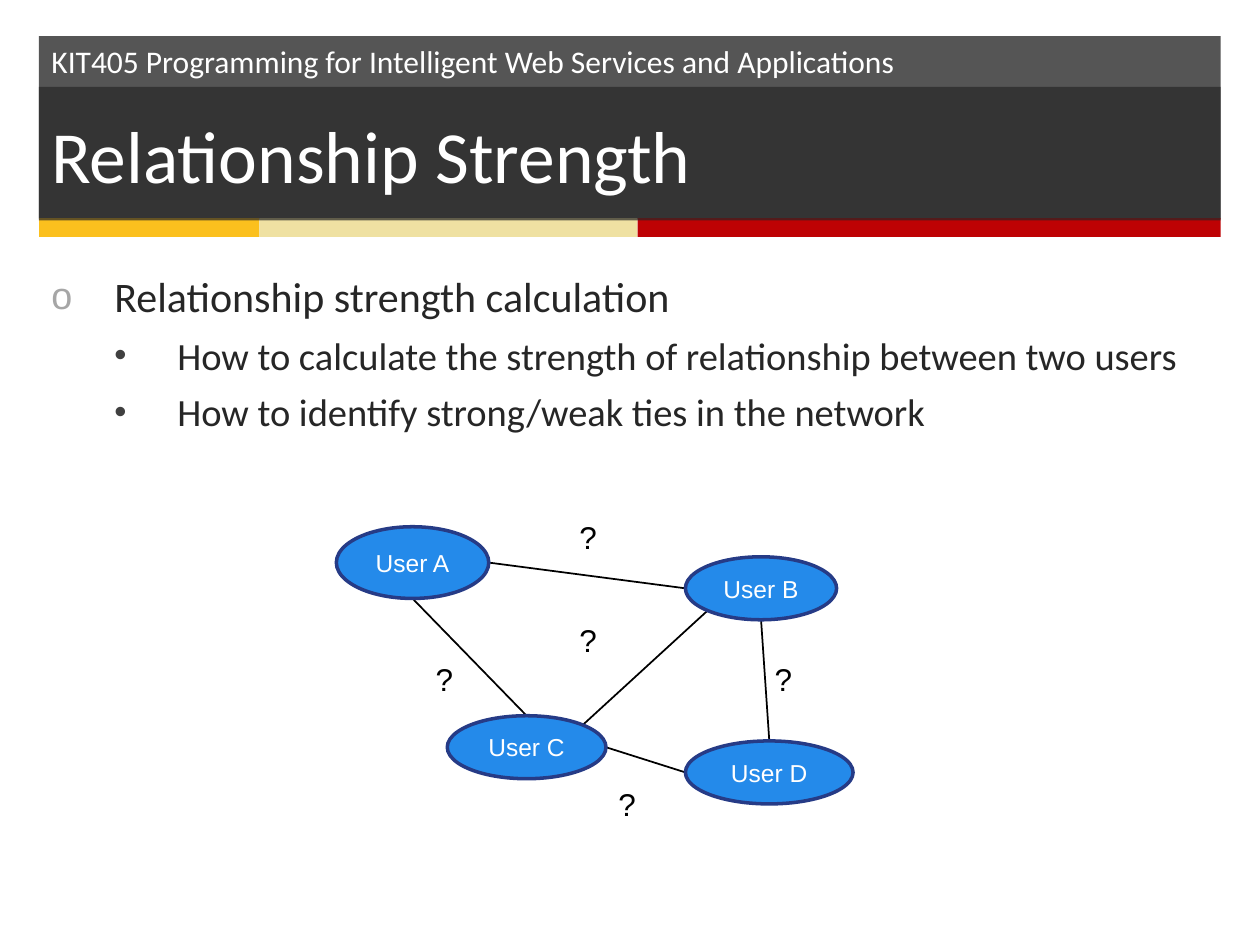
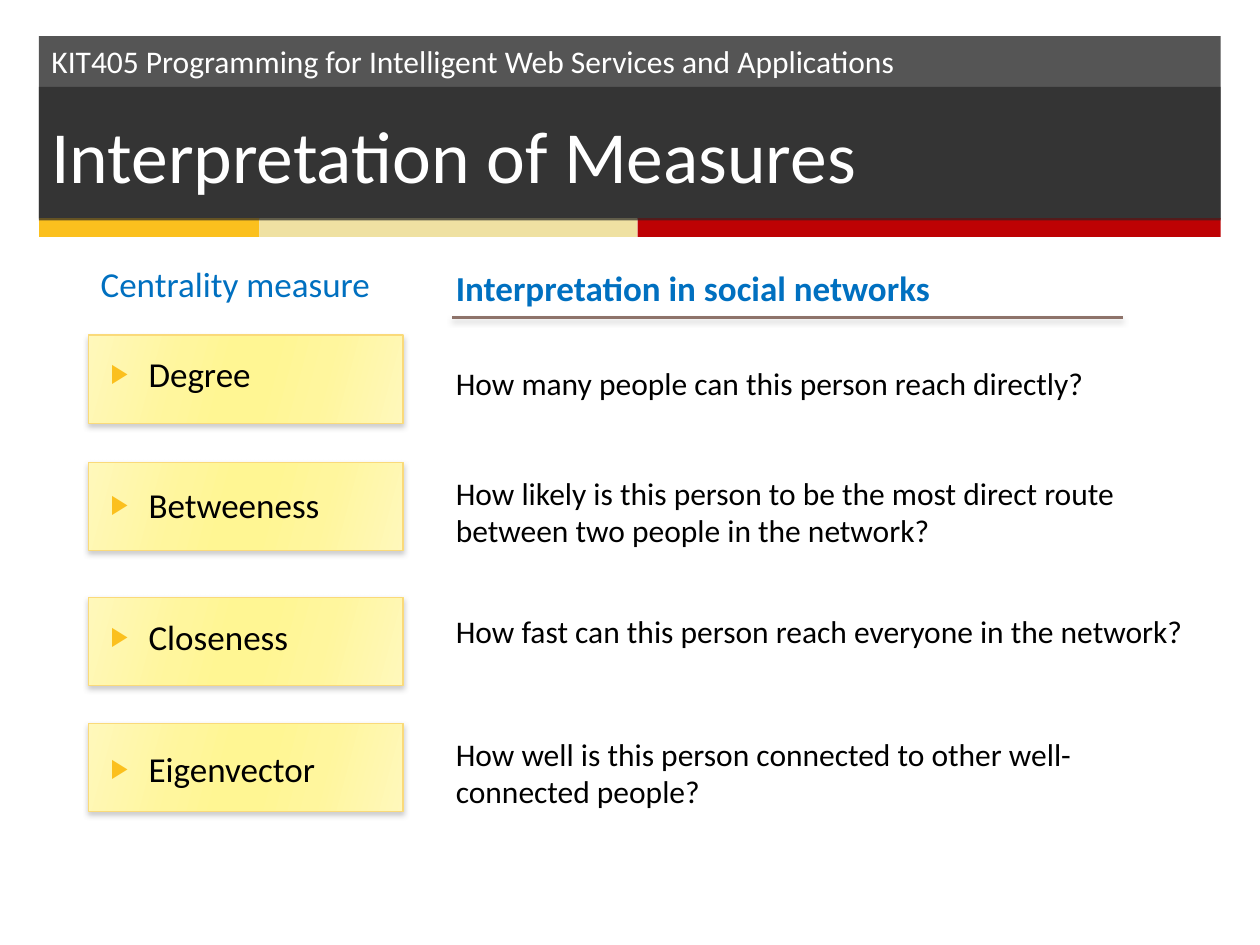
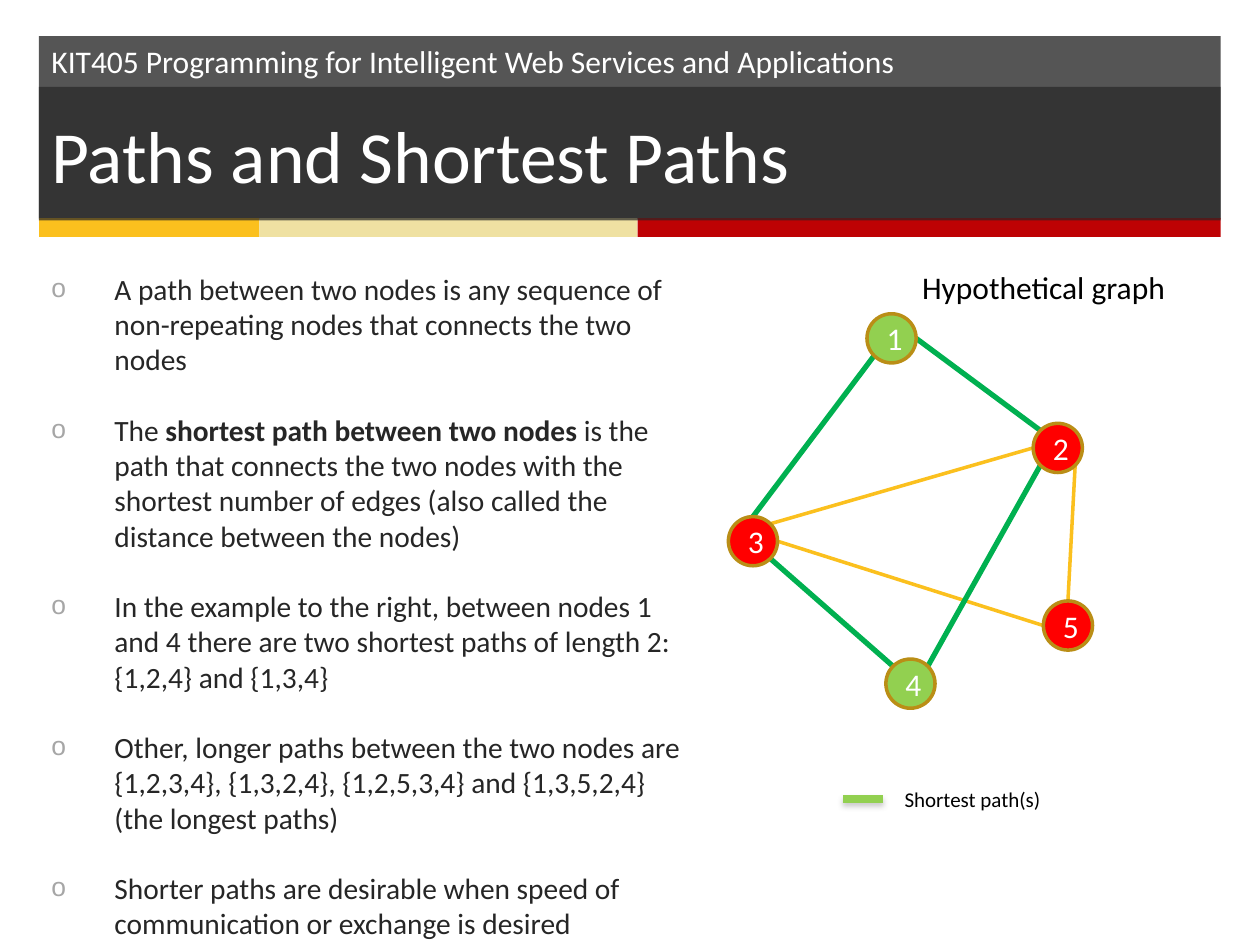
import math

import pptx
import pptx.dml.color
import pptx.enum.shapes
import pptx.enum.text
import pptx.oxml.ns
import pptx.util
from lxml import etree

Pt = pptx.util.Pt
qn = pptx.oxml.ns.qn
MSO_SHAPE = pptx.enum.shapes.MSO_SHAPE
CENTER = pptx.enum.text.PP_ALIGN.CENTER
MIDDLE = pptx.enum.text.MSO_ANCHOR.MIDDLE

# Shared look
COLORS = {
    "white": "FFFFFF", "black": "000000", "band": "0D0D0D", "title": "262626",
    "gold": "FBC01E", "cream": "EFE1A2", "crimson": "BE0204",
    "bullet": "A6A6A6", "sub_bullet": "404040", "heading": "0070C0",
    "user": "248AEA", "user_edge": "263B86",
    "card_edge": "FADA7A", "rule": "8E736A", "shadow": "808080",
    "end_node": "92D050", "mid_node": "FF0000", "node_edge": "BA8E16",
    "shortest": "00B050",
}
CARD_STOPS = [(0, "FFF8BB"), (30, "FFF69D"), (45, "FFF693"),
              (55, "FFF693"), (73, "FFF69D"), (100, "FFF8BB")]
COURSE = "KIT405 Programming for Intelligent Web Services and Applications"
LEFT, BAND_TOP, BAND_WIDTH = 22.3, 20.6, 675.2
STRIPES = [("gold", 126), ("cream", 216), ("crimson", 333.2)]
BODY_TOP, BODY_HEIGHT = 151.2, 334
# Bullet styles: (symbol, colour, size %, left margin, hanging, space before)
TOP_BULLET = ("o", "bullet", 90, 36, 36, 20)
SUB_BULLET = ("•", "sub_bullet", 90, 72, 36, 6)
ARROW_BULLET = ("▶", "gold", 76, 21.6, 21.6, 56)

# Slide 1: users and the ties between them
STRENGTH_TITLE = "Relationship Strength"
STRENGTH_POINTS = [
    ("Relationship strength calculation", 24, TOP_BULLET),
    ("How to calculate the strength of relationship between two users", 22, SUB_BULLET),
    ("How to identify strong/weak ties in the network", 22, SUB_BULLET),
]
USERS = {
    "A": (192.2, 301, 87.1, 41), "B": (391.7, 318.2, 86.4, 36),
    "C": (255.6, 409, 90.7, 36), "D": (391.7, 423.4, 95.8, 36),
}
TIES = [("B", "S", "D", "N"), ("B", "SW", "C", "NE"), ("D", "W", "C", "E"),
        ("A", "E", "B", "W"), ("A", "S", "C", "N")]
UNKNOWNS = [(324, 292.3), (435.6, 373.7), (346.3, 445), (324, 351.4), (241.9, 373.7)]

# Slide 2: (measure, card top, interpretation, interpretation top)
MEASURES_TITLE = "Interpretation of Measures"
MEASURES = [
    ("Degree", 191.5, "How many people can this person reach directly?", 204.5),
    ("Betweeness", 264.2, "How likely is this person to be the most direct route "
     "between two people in the network?", 267.1),
    ("Closeness", 341.3, "How fast can this person reach everyone in the network?", 346.3),
    ("Eigenvector", 413.3, "How well is this person connected to other "
     "well-connected people?", 416.2),
]
CARD_LEFT, CARD_WIDTH, CARD_HEIGHT = 50.4, 180, 50.4
MEANING_LEFT, MEANING_WIDTH = 253.4, 430

# Slide 3: each point is a list of (text, bold) parts
PATHS_TITLE = "Paths and Shortest Paths"
PATH_POINTS = [
    [("A path between two nodes is any sequence of non-repeating nodes "
      "that connects the two nodes", False)],
    [("The ", False), ("shortest path between two nodes ", True),
     ("is the path that connects the two nodes with the shortest number of edges "
      "(also called the distance between the nodes)", False)],
    [("In the example to the right, between nodes 1 and 4 there are two shortest "
      "paths of length 2: {1,2,4} and {1,3,4}", False)],
    [("Other, longer paths between the two nodes are {1,2,3,4}, {1,3,2,4}, "
      "{1,2,5,3,4} and {1,3,5,2,4} (the longest paths)", False)],
    [("Shorter paths are desirable when speed of communication or exchange "
      "is desired", False)],
]
NODE_SIZE = 28.1
NODES = {
    "1": (495.4, 179.3, "end_node"), "2": (590.4, 241.9, "mid_node"),
    "3": (416.2, 295.2, "mid_node"), "4": (506.2, 376.6, "end_node"),
    "5": (596.2, 343.4, "mid_node"),
}
LONGER_EDGES = [("3", "E", "5", "W"), ("3", "NE", "2", "W"), ("2", "SE", "5", "N")]
SHORTEST_EDGES = [("4", "NE", "2", "SW"), ("4", "NW", "3", "SE"),
                  ("1", "E", "2", "NW"), ("1", "SW", "3", "N")]

COMPASS = ["E", "SE", "S", "SW", "W", "NW", "N", "NE"]


def rgb(name):
    return pptx.dml.color.RGBColor.from_string(COLORS[name])


def child(parent, tag, **attributes):
    element = etree.SubElement(parent, qn("a:" + tag))
    for key, value in attributes.items():
        element.set(key, str(value))
    return element


def style_font(paragraph, size, color, face="Calibri", bold=None):
    font = paragraph.font
    font.size, font.name, font.bold = Pt(size), face, bold
    font.color.rgb = rgb(color)


def add_bullet(paragraph, bullet):
    symbol, color, percent, margin, hanging, before = bullet
    properties = paragraph._p.get_or_add_pPr()
    properties.set("marL", str(Pt(margin)))
    properties.set("indent", str(-Pt(hanging)))
    child(child(properties, "buClr"), "srgbClr", val=COLORS[color])
    child(properties, "buSzPct", val=percent * 1000)
    child(properties, "buFont", typeface="Arial")
    child(properties, "buChar", char=symbol)
    paragraph.space_before = Pt(before)


def add_soft_shadow(effects):
    shadow = child(effects, "outerShdw", blurRad=Pt(3), dist=Pt(2),
                   dir=90 * 60000, rotWithShape=0)
    child(child(shadow, "srgbClr", val=COLORS["shadow"]), "alpha", val=40000)


def add_block(slide, kind, place, fill=None, edge=None, edge_width=2, alpha=None):
    block = slide.shapes.add_shape(kind, *map(Pt, place))
    block.shadow.inherit = False
    if fill:
        block.fill.solid()
        block.fill.fore_color.rgb = rgb(fill)
    if alpha:
        solid = block._element.spPr.find(qn("a:solidFill"))
        child(solid[0], "alpha", val=alpha * 1000)
    if edge:
        block.line.color.rgb = rgb(edge)
        block.line.width = Pt(edge_width)
    else:
        block.line.fill.background()
    return block


def write_in(block, text, size, face="Calibri", align=CENTER):
    block.text_frame.vertical_anchor = MIDDLE
    paragraph = block.text_frame.paragraphs[0]
    paragraph.text, paragraph.alignment = text, align
    style_font(paragraph, size, "white", face)


def add_frame(slide, place, wrap=True):
    frame = slide.shapes.add_textbox(*map(Pt, place)).text_frame
    frame.word_wrap = wrap
    return frame


def add_label(slide, text, place, size, color="black", face="Calibri",
              bold=None, wrap=False):
    paragraph = add_frame(slide, place, wrap).paragraphs[0]
    paragraph.text = text
    style_font(paragraph, size, color, face, bold)


def next_paragraph(frame, index):
    return frame.add_paragraph() if index else frame.paragraphs[0]


def add_line(slide, start, end, color, width, shadow=False):
    line = slide.shapes.add_connector(pptx.enum.shapes.MSO_CONNECTOR.STRAIGHT,
                                      *map(Pt, (*start, *end)))
    line.line.color.rgb = rgb(color)
    line.line.width = Pt(width)
    effects = child(line._element.spPr, "effectLst")
    if shadow:
        add_soft_shadow(effects)


def rim_point(place, side):
    """Point on an ellipse's rim in a compass direction."""
    left, top, width, height = place
    angle = COMPASS.index(side) * math.pi / 4
    return (left + width / 2 * (1 + math.cos(angle)),
            top + height / 2 * (1 + math.sin(angle)))


def add_edges(slide, places, edges, color, width):
    for first, first_side, second, second_side in edges:
        add_line(slide, rim_point(places[first], first_side),
                 rim_point(places[second], second_side), color, width)


def start_slide(deck, title):
    """Blank slide with course band, colour stripes and title."""
    slide = deck.slides.add_slide(deck.slide_layouts[6])
    add_block(slide, MSO_SHAPE.RECTANGLE, (LEFT, BAND_TOP, BAND_WIDTH, 104.4), "band", alpha=70)
    left = LEFT
    for color, width in STRIPES:
        add_block(slide, MSO_SHAPE.RECTANGLE, (left, 124.6, width, 10.8), color)
        left += width
    add_label(slide, COURSE, (LEFT, BAND_TOP, 586, 29), 18, "white", wrap=True)
    banner = add_block(slide, MSO_SHAPE.RECTANGLE, (LEFT, 49.7, BAND_WIDTH, 76.3),
                       "title", alpha=70)
    write_in(banner, title, 42, align=pptx.enum.text.PP_ALIGN.LEFT)
    return slide


def build_strength(deck):
    slide = start_slide(deck, STRENGTH_TITLE)
    body = add_frame(slide, (LEFT, BODY_TOP, BAND_WIDTH, BODY_HEIGHT))
    for index, (text, size, bullet) in enumerate(STRENGTH_POINTS):
        paragraph = next_paragraph(body, index)
        paragraph.text = text
        add_bullet(paragraph, bullet)
        style_font(paragraph, size, "title")
    add_edges(slide, USERS, TIES, "black", 1)
    for user, place in USERS.items():
        oval = add_block(slide, MSO_SHAPE.OVAL, place, "user", "user_edge")
        write_in(oval, f"User {user}", 14, "Arial")
    for left, top in UNKNOWNS:
        add_label(slide, "?", (left, top, 32.4, 37.4), 18, face="Arial")


def add_card(slide, top):
    card = add_block(slide, MSO_SHAPE.RECTANGLE, (CARD_LEFT, top, CARD_WIDTH, CARD_HEIGHT),
                     edge="card_edge", edge_width=0.75)
    card.fill.gradient()
    gradient = card._element.spPr.find(qn("a:gradFill"))
    stops = gradient.find(qn("a:gsLst"))
    for stop in list(stops):
        stops.remove(stop)
    for position, color in CARD_STOPS:
        child(child(stops, "gs", pos=position * 1000), "srgbClr", val=color)
    gradient.find(qn("a:lin")).set("ang", str(15 * 60000))
    add_soft_shadow(card._element.spPr.find(qn("a:effectLst")))


def build_measures(deck):
    slide = start_slide(deck, MEASURES_TITLE)
    for _, card_top, _, _ in MEASURES:
        add_card(slide, card_top)
    names = add_frame(slide, (56.2, 202.3, 168.5, 258.5))
    for index, (measure, _, meaning, meaning_top) in enumerate(MEASURES):
        paragraph = next_paragraph(names, index)
        paragraph.text = measure
        add_bullet(paragraph, ARROW_BULLET)
        paragraph.line_spacing = 0.8
        style_font(paragraph, 20, "black")
        add_label(slide, meaning, (MEANING_LEFT, meaning_top, MEANING_WIDTH, 51), 18, wrap=True)
    add_label(slide, "Centrality measure", (CARD_LEFT, 146.2, 173.5, 31.7), 20, "heading")
    add_label(slide, "Interpretation in social networks", (MEANING_LEFT, 149, 298, 31.7),
              20, "heading", bold=True)
    add_line(slide, (258.5, 181.4), (641.5, 181.4), "rule", 1.5, shadow=True)


def build_paths(deck):
    slide = start_slide(deck, PATHS_TITLE)
    body = add_frame(slide, (LEFT, BODY_TOP, 377.3, BODY_HEIGHT))
    for index, parts in enumerate(PATH_POINTS):
        paragraph = next_paragraph(body, index)
        add_bullet(paragraph, TOP_BULLET)
        style_font(paragraph, 16.8, "title")
        for text, bold in parts:
            run = paragraph.add_run()
            run.text = text
            if bold:
                run.font.bold = True
    # Graph
    places = {name: (left, top, NODE_SIZE, NODE_SIZE)
              for name, (left, top, _) in NODES.items()}
    add_edges(slide, places, LONGER_EDGES, "gold", 2)
    add_edges(slide, places, SHORTEST_EDGES, "shortest", 3)
    for name, (_, _, fill) in NODES.items():
        write_in(add_block(slide, MSO_SHAPE.OVAL, places[name], fill, "node_edge"), name, 18)
    # Legend and caption
    add_line(slide, (481.7, 456.5), (504.7, 456.5), "end_node", 4.5, shadow=True)
    add_label(slide, "Shortest path(s)", (509.8, 445.7, 93.6, 21.6), 12)
    add_label(slide, "Hypothetical graph", (519.8, 149.8, 154, 28.8), 18)


def main():
    deck = pptx.Presentation()
    deck.slide_width, deck.slide_height = Pt(720), Pt(540)
    build_strength(deck)
    build_measures(deck)
    build_paths(deck)
    deck.save("out.pptx")


if __name__ == "__main__":
    main()
